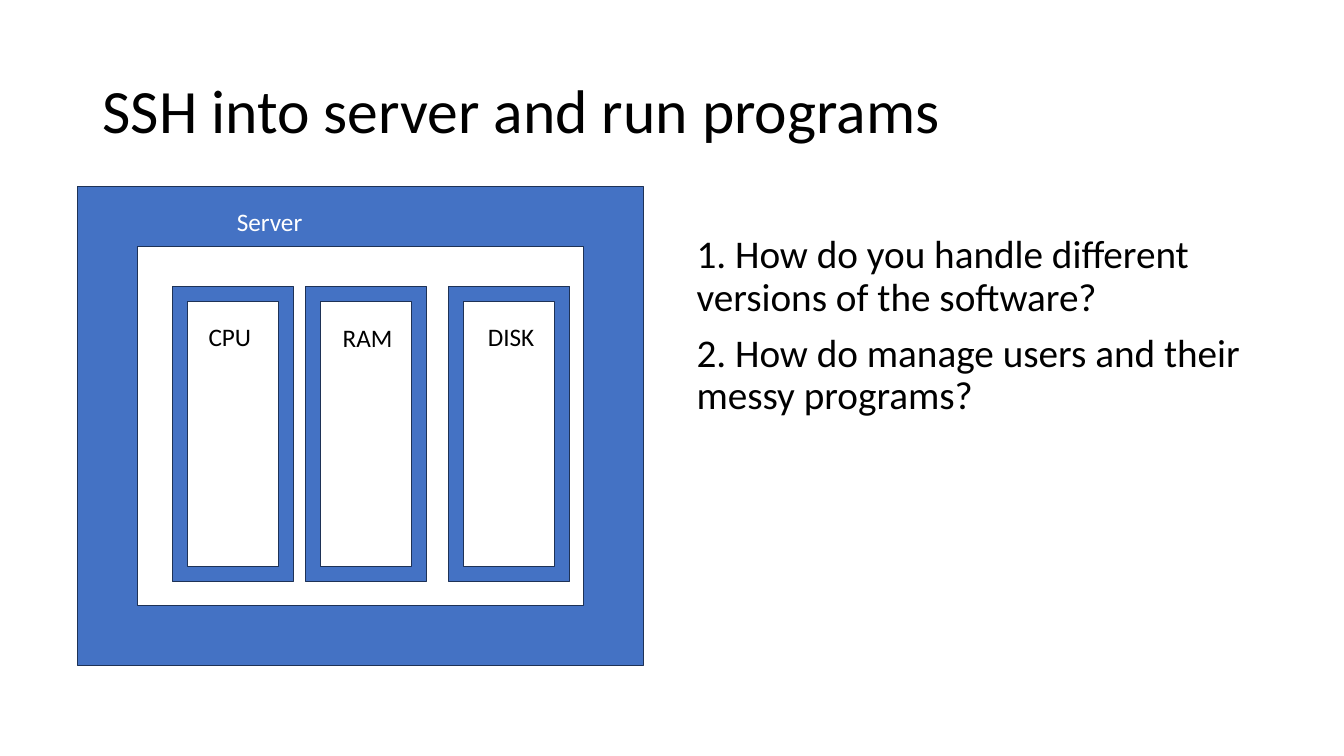
from pptx import Presentation
from pptx.dml.color import RGBColor
from pptx.enum.shapes import MSO_SHAPE
from pptx.enum.text import MSO_ANCHOR, MSO_AUTO_SIZE
from pptx.util import Inches, Pt

TITLE = "SSH into server and run programs"
QUESTIONS = [
    "1. How do you handle different versions of the software?",
    "2. How do manage users and their messy programs?",
]
SERVER = "Server"
PARTS = [
    ("CPU", 1.71, (1.97, 3.14, 0.63, 0.4)),
    ("RAM", 3.03, (3.3, 3.15, 0.7, 0.4)),
    ("DISK", 4.45, (4.74, 3.14, 0.67, 0.4)),
]
SERVER_BOX = (0.77, 1.85, 5.61, 4.75)
PART_TOP, PART_WIDTH, PART_HEIGHT = 2.84, 1.2, 2.93
BLUE, NAVY, BLACK, WHITE = "4472C4", "1E3256", "000000", "FFFFFF"


def color(value):
    """Turn a hex string into a color."""
    return RGBColor.from_string(value)


def add_text(slide, box, lines, size=18, ink=BLACK, wrap=True, grow=False,
             anchor=MSO_ANCHOR.TOP, spacing=1.0, before=0, top_inset=0.05):
    """Add a text box with one paragraph per line."""
    shape = slide.shapes.add_textbox(*map(Inches, box))
    frame = shape.text_frame
    frame.word_wrap = wrap
    frame.auto_size = MSO_AUTO_SIZE.SHAPE_TO_FIT_TEXT if grow else MSO_AUTO_SIZE.NONE
    frame.vertical_anchor = anchor
    frame.margin_top = Inches(top_inset)
    frame.text = "\n".join(lines)
    for paragraph in frame.paragraphs:
        paragraph.line_spacing = spacing
        paragraph.space_before = Pt(before)
        font = paragraph.runs[0].font
        font.name, font.size = "Calibri", Pt(size)
        font.color.rgb = color(ink)


def add_frame(slide, box):
    """Add a blue hollow frame."""
    shape = slide.shapes.add_shape(MSO_SHAPE.FRAME, *map(Inches, box))
    shape.shadow.inherit = False
    shape.fill.solid()
    shape.fill.fore_color.rgb = color(BLUE)
    shape.line.color.rgb = color(NAVY)
    shape.line.width = Pt(1)


def main():
    """Build the slide and save it."""
    presentation = Presentation()
    presentation.slide_width, presentation.slide_height = Inches(13.33), Inches(7.5)
    slide = presentation.slides.add_slide(presentation.slide_layouts[6])

    add_text(slide, (0.92, 0.4, 11.5, 1.45), [TITLE], size=44,
             anchor=MSO_ANCHOR.MIDDLE, spacing=0.9)
    add_text(slide, (6.81, 1.85, 5.61, 4.91), QUESTIONS, size=28,
             spacing=0.9, before=10, top_inset=0.48)

    add_frame(slide, SERVER_BOX)
    add_text(slide, (2.25, 2, 1.51, 0.4), [SERVER], ink=WHITE, grow=True)
    for _, left, _ in PARTS:
        add_frame(slide, (left, PART_TOP, PART_WIDTH, PART_HEIGHT))
    for name, _, label_box in PARTS:
        add_text(slide, label_box, [name], wrap=False, grow=True)

    presentation.save("out.pptx")


if __name__ == "__main__":
    main()
